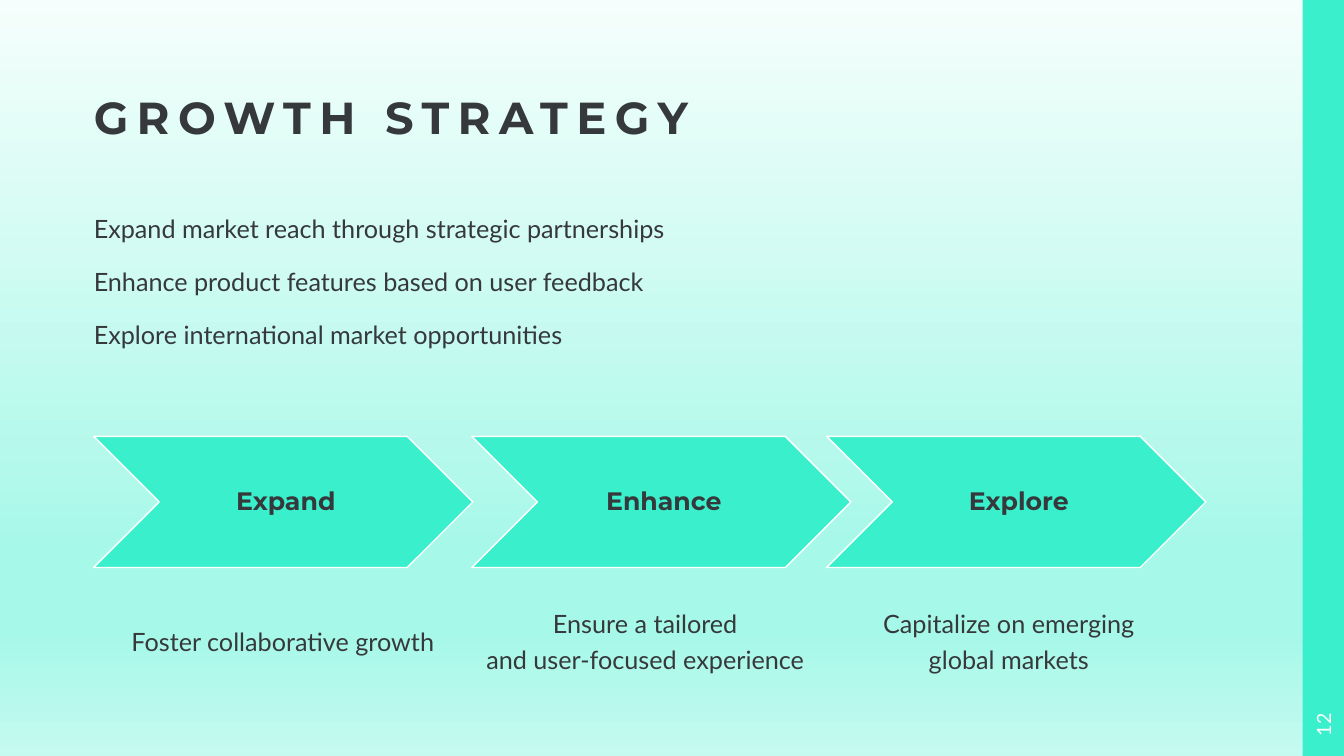
from lxml.etree import SubElement
from pptx import Presentation
from pptx.dml.color import RGBColor
from pptx.enum.shapes import MSO_SHAPE
from pptx.enum.text import MSO_ANCHOR, MSO_AUTO_SIZE, PP_ALIGN
from pptx.oxml import parse_xml
from pptx.oxml.ns import nsdecls, qn
from pptx.util import Inches, Pt

HUES = {"ink": "36393B", "mint": "3AEFCC", "white": "FFFFFF"}
FADE = [(0, "F5FEFC"), (74, "A6F8E8"), (83, "A6F8E8"), (100, "C4FAF0")]
GOALS = [
    "Expand market reach through strategic partnerships",
    "Enhance product features based on user feedback",
    "Explore international market opportunities",
]
# Label, chevron left, caption left, caption width, caption
STEPS = [
    ("Expand", 0.93, 1.3, 3.01, "Foster collaborative growth"),
    ("Enhance", 4.68, 4.67, 3.46, "Ensure a tailored\vand user-focused experience"),
    ("Explore", 8.2, 8.5, 3.01, "Capitalize on emerging global markets"),
]


def color(name):
    return RGBColor.from_string(HUES[name])


def inches(box):
    return [Inches(side) for side in box]


def place(shape, box):
    shape.left, shape.top, shape.width, shape.height = inches(box)


def frame(shape, anchor, pads=(0, 0, 0, 0)):
    """Set wrapping, anchor and insets (left, top, right, bottom)."""
    text = shape.text_frame
    text.auto_size = MSO_AUTO_SIZE.NONE
    text.word_wrap = True
    text.vertical_anchor = anchor
    (text.margin_left, text.margin_top,
     text.margin_right, text.margin_bottom) = inches(pads)
    return text


def style(para, face, size, hue="ink", bold=False, align=PP_ALIGN.LEFT, lead=1.0):
    para.alignment = align
    para.line_spacing = lead
    para.space_before = Pt(0)
    font = para.font
    font.name, font.size, font.bold = face, Pt(size), bold
    font.color.rgb = color(hue)


def block(slide, kind, box, fill):
    shape = slide.shapes.add_shape(kind, *inches(box))
    shape.shadow.inherit = False
    shape.fill.solid()
    shape.fill.fore_color.rgb = color(fill)
    shape.line.fill.background()
    return shape


def backdrop(slide):
    stops = "".join(
        f'<a:gs pos="{at * 1000}"><a:srgbClr val="{hue}"/></a:gs>' for at, hue in FADE
    )
    slide.element.cSld.insert(0, parse_xml(
        f'<p:bg {nsdecls("p", "a")}><p:bgPr><a:gradFill rotWithShape="1">'
        f'<a:gsLst>{stops}</a:gsLst><a:lin ang="5400000" scaled="0"/>'
        "</a:gradFill><a:effectLst/></p:bgPr></p:bg>"
    ))


def heading(slide, box, words):
    title = slide.shapes.title
    place(title, box)
    text = frame(title, MSO_ANCHOR.BOTTOM)
    text.text = words
    para = text.paragraphs[0]
    style(para, "Montserrat", 32, bold=True, lead=0.9)
    para.runs[0].font._element.set("spc", "600")


def goals(slide, box):
    body = slide.placeholders[1]
    place(body, box)
    text = frame(body, MSO_ANCHOR.TOP, (0, 0.05, 0.1, 0.05))
    text.text = "\n".join(GOALS)
    for para in text.paragraphs:
        props = para._p.get_or_add_pPr()
        props.set("marL", "0")
        props.set("indent", "0")
        SubElement(props, qn("a:buNone"))
        style(para, "Lato", 18, lead=1.2)
        para.space_after = Pt(12)


def arrow(slide, box, label):
    shape = block(slide, MSO_SHAPE.CHEVRON, box, "mint")
    shape.line.color.rgb = color("white")
    shape.line.width = Pt(1)
    text = frame(shape, MSO_ANCHOR.MIDDLE, (0.08, 0.03, 0.03, 0.03))
    text.text = label
    style(text.paragraphs[0], "Montserrat", 18, bold=True,
          align=PP_ALIGN.CENTER, lead=0.9)


def note(slide, box, words, size=18, hue="ink", lead=1.2):
    """Add a centred text box."""
    shape = slide.shapes.add_textbox(*inches(box))
    text = frame(shape, MSO_ANCHOR.MIDDLE)
    text.text = words
    style(text.paragraphs[0], "Lato", size, hue, align=PP_ALIGN.CENTER, lead=lead)
    return shape


def process(slide, top):
    for label, left, edge, width, words in STEPS:
        arrow(slide, (left, top, 3.76, 1.3), label)
        note(slide, (edge, top + 1.46, width, 1.08), words)


def sidebar(slide, box, number):
    left, top, width, height = box
    block(slide, MSO_SHAPE.RECTANGLE, box, "mint")
    spot = (left + width / 2 - 0.31, top + height - 0.52, 0.62, 0.42)
    note(slide, spot, number, 14, "white", 1.0).rotation = 270


def main():
    deck = Presentation()
    deck.slide_width, deck.slide_height = Inches(13.33), Inches(7.5)
    slide = deck.slides.add_slide(deck.slide_layouts[1])
    backdrop(slide)
    sidebar(slide, (12.92, 0, 0.41, 7.5), "12")
    heading(slide, (0.93, 0, 11.07, 1.43), "GROWTH STRATEGY")
    goals(slide, (0.93, 2.01, 11.03, 1.56))
    process(slide, 4.33)
    deck.save("out.pptx")


if __name__ == "__main__":
    main()
